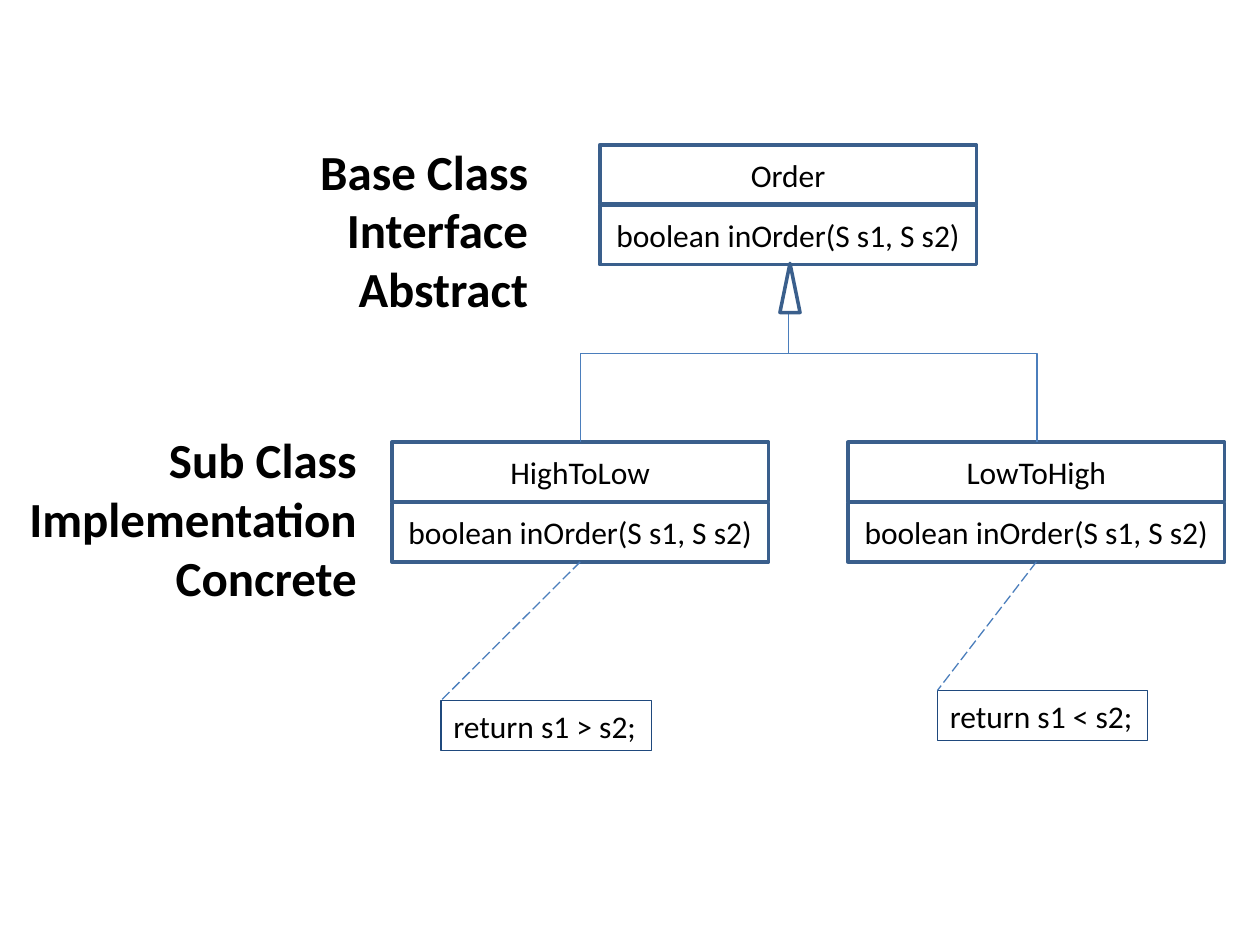
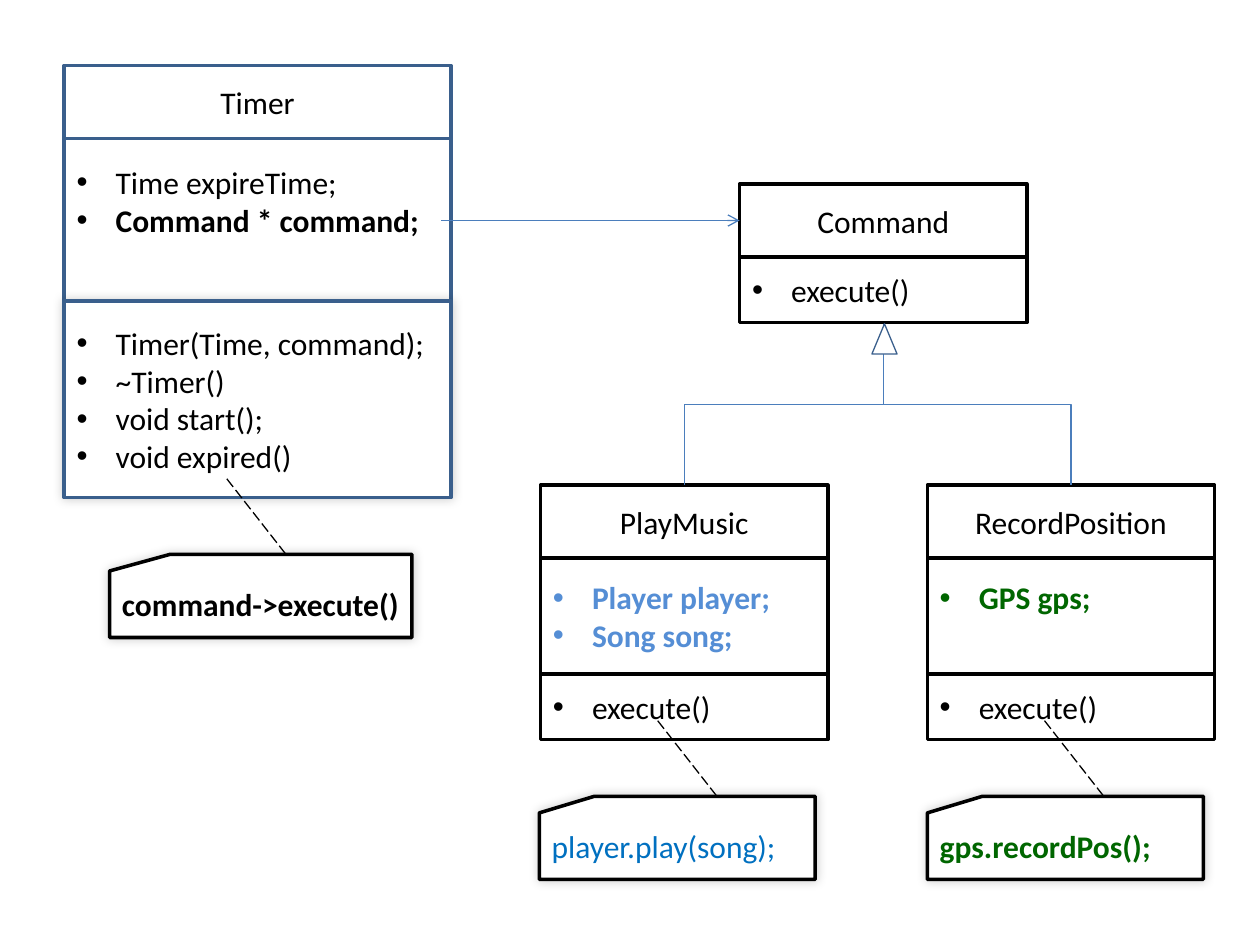
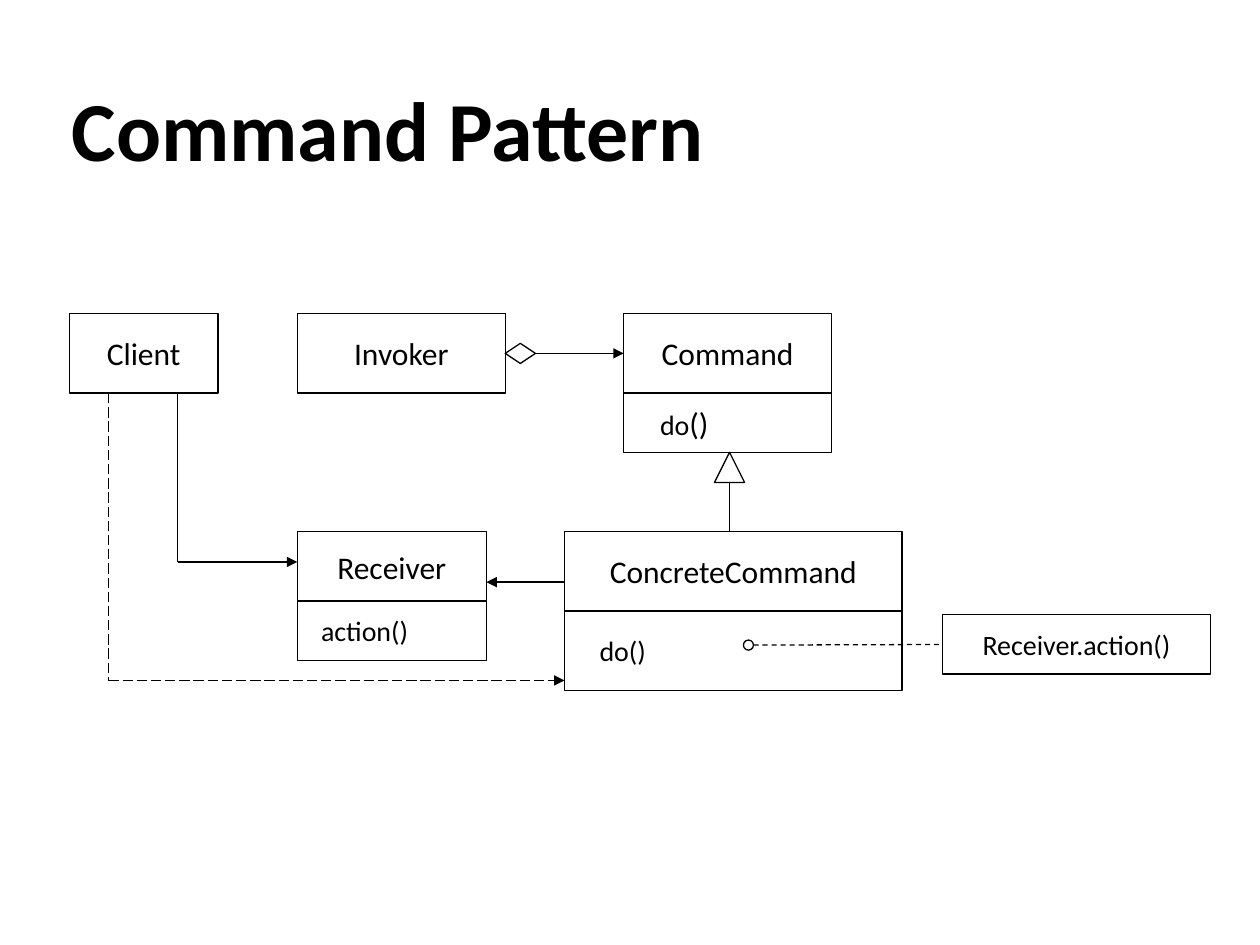
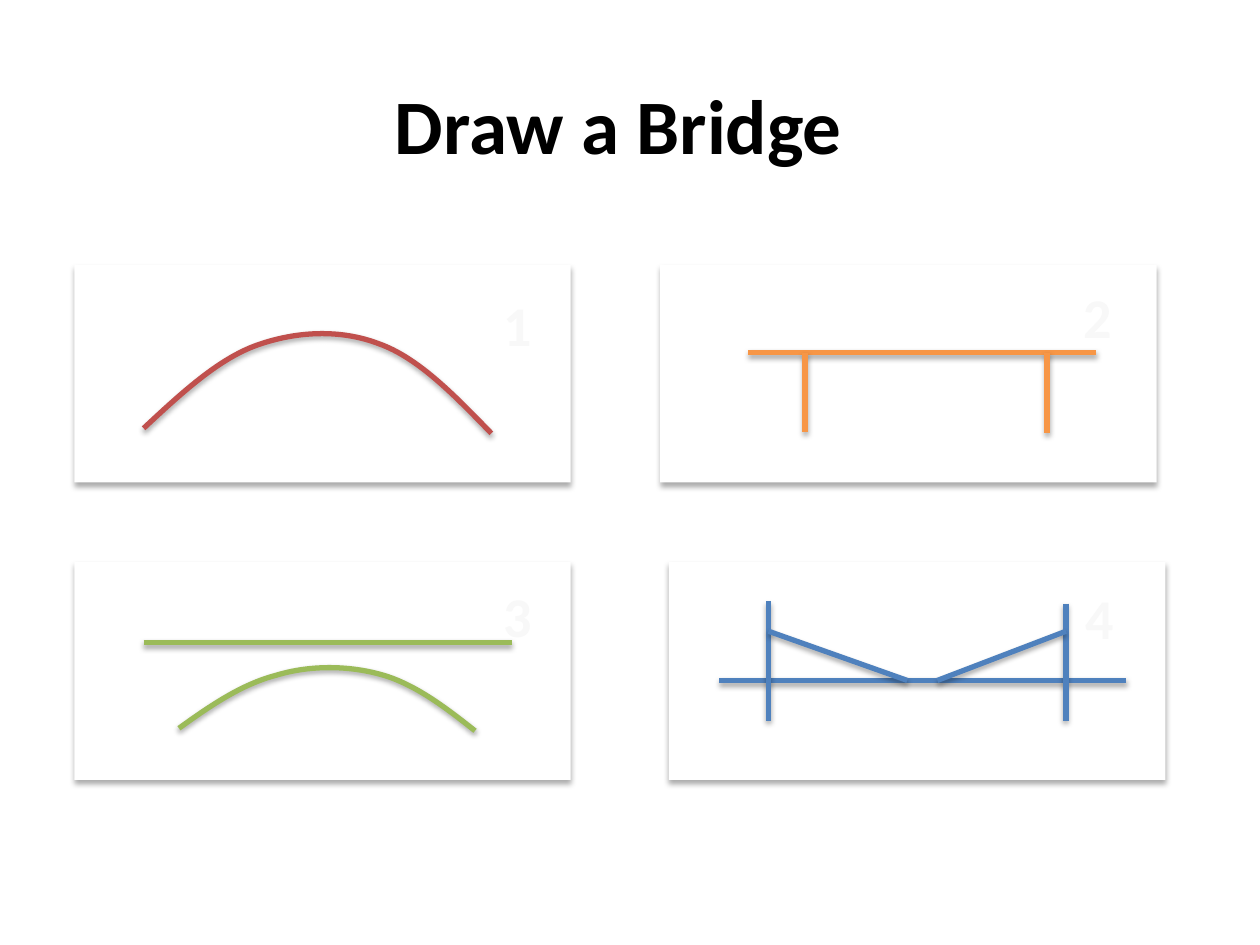
from pptx import Presentation
from pptx.dml.color import RGBColor
from pptx.enum.dml import MSO_LINE as DASH
from pptx.enum.shapes import MSO_CONNECTOR as LINK, MSO_SHAPE as SHAPE
from pptx.enum.text import MSO_ANCHOR as ANCHOR, PP_ALIGN as ALIGN
from pptx.oxml import parse_xml
from pptx.oxml.ns import nsdecls, qn
from pptx.util import Inches, Pt
from lxml.etree import SubElement

deck = Presentation()
deck.slide_width, deck.slide_height = Inches(10), Inches(7.5)
CELL = deck.slide_width // 100  # the grid has 100 columns and 75 rows
TITLE_ONLY, BLANK = deck.slide_layouts[5], deck.slide_layouts[6]

# Shared look
COLORS = {
    "white": "FFFFFF", "black": "000000", "navy": "3A5F8C", "blue": "4B7EBC",
    "note": "1F497D", "player": "558ED5", "song": "0070C0", "gps": "006600",
    "red": "C0504D", "orange": "F79646", "green": "9BBB59", "steel": "4F81BD",
    "pale": "F8F8F8",
}
RGB = {name: RGBColor.from_string(value) for name, value in COLORS.items()}
TEXT = {"name": "Calibri", "size": Pt(18), "bold": False}
SMALL = {"size": Pt(16)}
BOLD = {"bold": True}
BULLET_INDENT = 3.1

# Shadow settings: opacity %, blur and distance in points, angle
SHADOWS = {None: f'<a:effectLst {nsdecls("a")}/>'}
for name, (alpha, blur, distance, angle) in {
    "glow": (20, 6, 0, 315), "panel": (32, 3.5, 2.2, 90), "stroke": (35, 3.1, 1.8, 90),
}.items():
    SHADOWS[name] = (
        f'<a:effectLst {nsdecls("a")}><a:outerShdw blurRad="{Pt(blur)}" dist="{Pt(distance)}" '
        f'dir="{angle * 60000}" rotWithShape="0"><a:srgbClr val="{COLORS["black"]}">'
        f'<a:alpha val="{alpha * 1000}"/></a:srgbClr></a:outerShdw></a:effectLst>')


def add_box(page, place, lines=(), kind=SHAPE.RECTANGLE, fill="white", edge="navy", weight=2,
            shadow=None, align=ALIGN.LEFT, anchor=ANCHOR.MIDDLE, bullet=False, indent=0,
            spacing=0, foot=0.5, wrap=True, color="black", font=TEXT):
    """Draw a shape with text; a line is a string or a list of (text, font) spans."""
    box = page.shapes.add_shape(kind, *[round(value * CELL) for value in place])
    for paint, tint in ((box.fill, fill), (box.line.fill, edge)):
        if tint:
            paint.solid()
            paint.fore_color.rgb = RGB[tint]
        else:
            paint.background()
    if edge:
        box.line.width = Pt(weight)
    box.element.spPr.append(parse_xml(SHADOWS[shadow]))
    frame = box.text_frame
    settings = {"word_wrap": wrap, "vertical_anchor": anchor, "margin_bottom": round(foot * CELL)}
    for name, value in settings.items():
        setattr(frame, name, value)
    for number, line in enumerate(lines):
        para = frame.add_paragraph() if number else frame.paragraphs[0]
        para.alignment = align
        props = para._p.get_or_add_pPr()
        props.set("marL", str(round(BULLET_INDENT * CELL) if bullet else 0))
        props.set("indent", str(round((-BULLET_INDENT if bullet else indent) * CELL)))
        if bullet:
            SubElement(props, qn("a:buFont"), typeface="Arial")
            SubElement(props, qn("a:buChar"), char="•")
        for text, changes in [(line, {})] if isinstance(line, str) else line:
            span = para.add_run()
            span.text = text
            span.font.color.rgb = RGB[color]
            for name, value in {**TEXT, **font, **changes}.items():
                setattr(span.font, name, value)
            if spacing:
                span._r.get_or_add_rPr().set("spc", str(spacing))
    return box


def add_line(page, start, end, color="black", weight=0.75, dash=None, tail=None,
             elbow=False, shadow=None):
    """Draw a straight line, or an elbow that goes down, across and down."""
    (x1, y1), (x2, y2) = start, end
    if elbow:
        across, down = abs(x2 - x1), y2 - y1
        left, top = (x1 + x2 - down) / 2, (y1 + y2 - across) / 2
        x1, y1, x2, y2 = left, top, left + down, top + across
    line = page.shapes.add_connector(LINK.ELBOW if elbow else LINK.STRAIGHT,
                                     *[round(value * CELL) for value in (x1, y1, x2, y2)])
    props = line.element.spPr
    if elbow:
        frame = props.find(qn("a:xfrm"))
        frame.set("rot", str((270 if end[0] > start[0] else 90) * 60000))
        if end[0] > start[0]:
            frame.set("flipH", "1")
    line.line.color.rgb = RGB[color]
    line.line.width = Pt(weight)
    if dash:
        line.line.dash_style = dash
    if tail:
        SubElement(props.find(qn("a:ln")), qn("a:tailEnd"), type=tail)
    props.append(parse_xml(SHADOWS[shadow]))
    return line


# Slide 1: Order and its two subclasses
page = deck.slides.add_slide(BLANK)
WIDTH, HEIGHT, STEP = 29.9, 4.7, 4.8
methods = {}
for name, left, top in (("Order", 47.6, 11.5), ("HighToLow", 31.1, 35.1), ("LowToHigh", 67.3, 35.1)):
    for row, text in enumerate((name, "boolean inOrder(S s1, S s2)")):
        methods[name] = add_box(page, (left, top + row * STEP, WIDTH, HEIGHT), [text],
                                align=ALIGN.CENTER)
for middle in (82.3, 46.1):
    add_line(page, (62.6, 21), (middle, 35.1), "blue", elbow=True)
add_box(page, (61.9, 20.9, 1.6, 3.9), kind=SHAPE.ISOSCELES_TRIANGLE)
for name, text, left, top in (("HighToLow", "return s1 > s2;", 35, 55.6),
                              ("LowToHigh", "return s1 < s2;", 74.4, 54.8)):
    add_box(page, (left, top, 16.7, 4), [text], fill=None, edge="note", weight=0.75,
            anchor=ANCHOR.TOP, wrap=False)
    link = add_line(page, (left + 11, 44.6), (left, top), "blue", dash=DASH.LONG_DASH)
    link.begin_connect(methods[name], 2)
for place, words in (((24.2, 10.7, 18.7, 15.1), ("Base Class", "Interface", "Abstract")),
                     ((1, 33.6, 28.3, 15.1), ("Sub Class", "Implementation", "Concrete"))):
    add_box(page, place, words, fill=None, edge=None, align=ALIGN.RIGHT, anchor=ANCHOR.TOP,
            wrap=False, font={"size": Pt(28), "bold": True})

# Slide 2: Timer and its commands
page = deck.slides.add_slide(BLANK)
HEADER, SPARE_LINE = 5.8, 3.5
execute = (5.2, ["execute()"], {})
classes = (
    ("Timer", 5.1, 5.2, 30.7, "navy", (
        (12.9, ["Time expireTime;", [("Command * command;", BOLD)]], {"foot": SPARE_LINE}),
        (15.6, ["Timer(Time, command);", "~Timer()", "void start();", "void expired()"],
         {"shadow": "glow"}))),
    ("Command", 58.7, 14.6, 22.8, "black", (execute,)),
    ("PlayMusic", 42.9, 38.5, 22.8, "black", (
        (9.2, ["Player player;", "Song song;"], {"color": "player", "font": BOLD}), execute)),
    ("RecordPosition", 73.6, 38.5, 22.8, "black", (
        (9.2, ["GPS gps;"], {"color": "gps", "font": BOLD, "foot": SPARE_LINE}), execute)),
)
headers = {}
for name, left, top, width, edge, parts in classes:
    headers[name] = add_box(page, (left, top, width, HEADER), [name], edge=edge, align=ALIGN.CENTER)
    top += HEADER
    for height, lines, options in parts:
        add_box(page, (left, top, width, height), lines, edge=edge, bullet=True, **options)
        top += height

link = add_line(page, (35, 17.5), (58.7, 17.5), "blue", tail="arrow")
link.end_connect(headers["Command"], 1)
for middle in (54.3, 85):
    add_line(page, (70.1, 25.7), (middle, 38.5), "blue", elbow=True)
add_box(page, (69.2, 25.7, 2, 2.4), kind=SHAPE.ISOSCELES_TRIANGLE, weight=0.75)
for text, left, top, width, hook, color, font in (
        ("command->execute()", 8.7, 44, 24, 18, "black", BOLD),
        ("player.play(song);", 42.8, 63.2, 21.9, 52.2, "song", TEXT),
        ("gps.recordPos();", 73.6, 63.2, 21.9, 82.9, "gps", BOLD)):
    add_line(page, (hook, top - 6), (hook + 4.7, top), dash=DASH.LONG_DASH)
    add_box(page, (left, top, width, 6.6), [text], kind=SHAPE.FLOWCHART_CARD, edge="black",
            shadow="glow", color=color, font=font)

# Slides 3 and 4: titles
pages = {}
for text, place, size, align in (
        ("Command Pattern", (4.7, 5.6, 54.7, 9.1), 48, ALIGN.LEFT),
        ("Draw a Bridge", (4.1, 3.6, 90, 12.5), 44, ALIGN.CENTER)):
    pages[text] = deck.slides.add_slide(TITLE_ONLY)
    title = pages[text].shapes.title
    for name, value in zip(("left", "top", "width", "height"), place):
        setattr(title, name, round(value * CELL))
    title.text_frame.vertical_anchor = ANCHOR.MIDDLE
    para = title.text_frame.paragraphs[0]
    para.alignment = align
    span = para.add_run()
    span.text = text
    span.font.color.rgb = RGB["black"]
    for name, value in {**TEXT, "size": Pt(size), "bold": True}.items():
        setattr(span.font, name, value)

# Slide 3: class boxes
page = pages["Command Pattern"]
THIN = {"edge": "black", "weight": 0.75}
boxes = {}
for name, place in (("Client", (5.5, 24.9, 11.8, 6.3)), ("Invoker", (23.6, 24.9, 16.5, 6.3)),
                    ("Command", (49.5, 24.9, 16.5, 6.3)), ("Receiver", (23.6, 42.2, 15, 5.5)),
                    ("ConcreteCommand", (44.8, 42.2, 26.8, 6.3))):
    boxes[name] = add_box(page, place, [name], align=ALIGN.CENTER, wrap=False, **THIN)
for line, place, indent in (([("do", SMALL), ("()", {})], (49.5, 31.2, 16.5, 4.7), 1.9),
                            ([("do()", SMALL)], (44.8, 48.5, 26.8, 6.3), 1.8),
                            ([("action()", SMALL)], (23.6, 47.7, 15, 4.7), 0.9)):
    add_box(page, place, [line], indent=indent, wrap=False, **THIN)
note = add_box(page, (74.8, 48.8, 21.3, 4.7), ["Receiver.action()"], align=ALIGN.CENTER,
               wrap=False, font=SMALL, **THIN)

# Slide 3: symbols and links
diamond = add_box(page, (40.1, 27.25, 2.4, 1.6), kind=SHAPE.DIAMOND, **THIN)
add_box(page, (56.7, 35.9, 2.4, 2.4), kind=SHAPE.ISOSCELES_TRIANGLE, **THIN)
add_box(page, (59, 50.8, 0.8, 0.8), kind=SHAPE.OVAL, **THIN)
for start, end, dash, tail in (
        ((14.1, 31.2), (14.1, 44.6), None, None),
        ((14.1, 44.6), (23.6, 44.6), None, "triangle"),
        ((8.6, 31.2), (8.6, 54), DASH.LONG_DASH, None),
        ((8.6, 54), (44.8, 54), DASH.LONG_DASH, "triangle"),
        ((44.8, 46.2), (38.6, 46.2), None, "triangle"),
        ((57.9, 38.3), (57.9, 42.2), None, None)):
    add_line(page, start, end, dash=dash, tail=tail)
link = add_line(page, (42.5, 28.1), (49.5, 28.1), tail="triangle")
link.begin_connect(diamond, 3)
link.end_connect(boxes["Command"], 1)
link = add_line(page, (59.8, 51.2), (74.8, 51.2), dash=DASH.DASH)
link.end_connect(note, 1)

# Slide 4: panels and their numbers
page = pages["Draw a Bridge"]
for number, left, top, number_left, number_top in (
        ("1", 5.9, 21, 39, 22.6), ("2", 52.4, 21, 85, 21.9),
        ("3", 5.9, 44.6, 39, 45.7), ("4", 53.1, 44.6, 85.2, 45.8)):
    add_box(page, (left, top, 39.4, 17.3), edge=None, shadow="panel")
    add_box(page, (number_left, number_top, 3.9, 6.4), [number], fill=None, edge=None,
            anchor=ANCHOR.TOP, spacing=150, color="pale", font={"size": Pt(32), "bold": True})

# Slide 4: straight parts of the bridges
for color, strokes in {
    "orange": (((59.4, 28), (87, 28)), ((83.1, 28), (83.1, 34.4)), ((63.9, 28), (63.9, 34.3))),
    "green": (((11.4, 51), (40.6, 51)),),
    "steel": (((57.1, 54), (89.4, 54)), ((61, 47.7), (61, 57.2)), ((84.6, 47.9), (84.6, 57.2)),
              ((61, 50.1), (72, 54)), ((84.6, 50.1), (74.4, 54))),
}.items():
    for start, end in strokes:
        add_line(page, start, end, color, 3, shadow="stroke")

# Slide 4: arches, each three curves given by their control points
for color, points in {
    "red": ((11.4, 34), (14.3, 31.3), (17.3, 28.5), (20.4, 27.4), (23.5, 26.3),
            (27, 26.1), (30.1, 27.3), (33.2, 28.4), (36.1, 31.4), (39, 34.4)),
    "green": ((14.2, 57.8), (16.7, 56), (19.2, 54.3), (21.9, 53.6), (24.5, 52.8),
              (27.5, 52.8), (30.1, 53.5), (32.8, 54.2), (35.3, 56.1), (37.7, 58)),
}.items():
    first, *others = [(round(x * CELL), round(y * CELL)) for x, y in points]
    builder = page.shapes.build_freeform(*first)
    builder.add_line_segments(others, close=False)
    arch = builder.convert_to_shape()
    outline = next(arch.element.iter(qn("a:path")))
    segments = outline.findall(qn("a:lnTo"))
    for index in range(0, len(segments), 3):
        curve = SubElement(outline, qn("a:cubicBezTo"))
        for segment in segments[index:index + 3]:
            curve.append(segment[0])
            outline.remove(segment)
    arch.fill.background()
    arch.line.color.rgb = RGB[color]
    arch.line.width = Pt(3)
    arch.element.spPr.append(parse_xml(SHADOWS["stroke"]))

deck.save("out.pptx")
